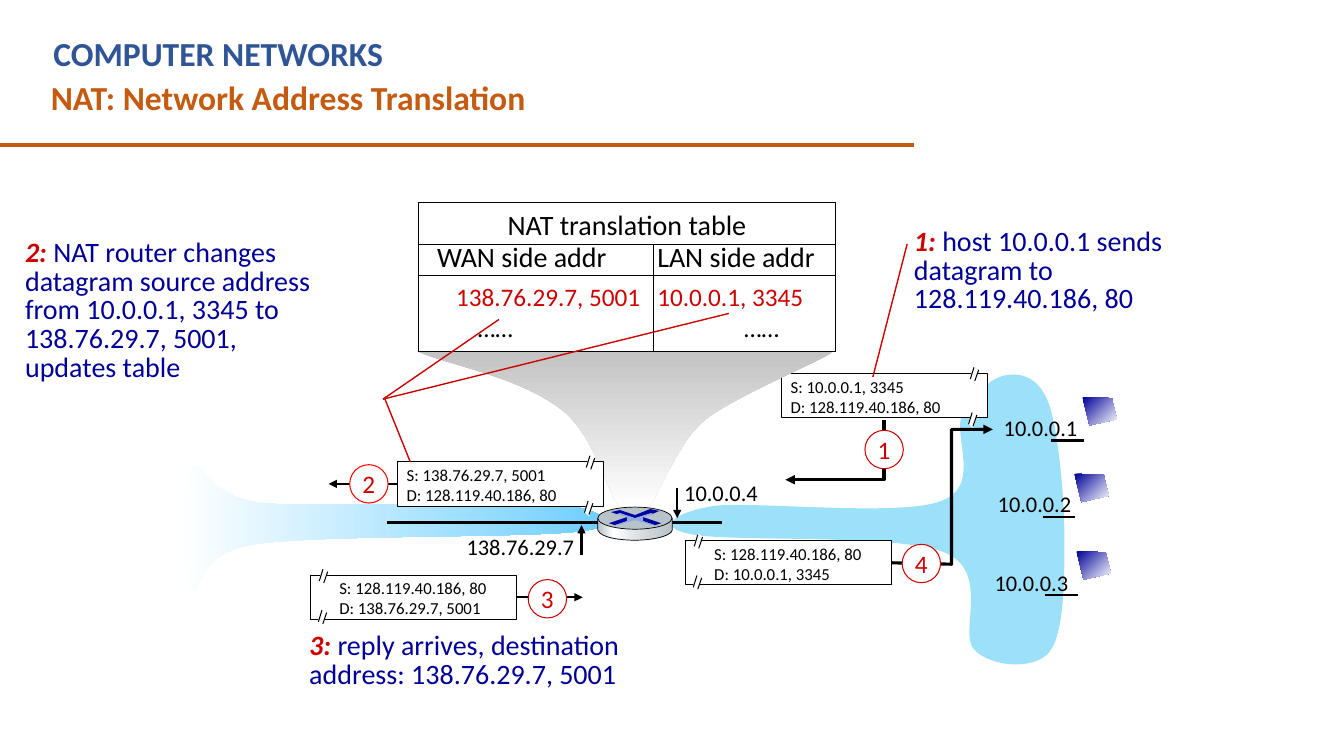
from dataclasses import dataclass

from lxml.etree import SubElement
from pptx import Presentation
from pptx.dml.color import RGBColor
from pptx.enum.shapes import MSO_CONNECTOR, MSO_SHAPE
from pptx.enum.text import MSO_ANCHOR, PP_ALIGN
from pptx.oxml.ns import qn
from pptx.util import Pt

COLORS = {
    "black": "000000", "white": "FFFFFF", "red": "CC0000", "bright": "FF0000",
    "navy": "000099", "heading": "2F5597", "title": "C55A11", "wan": "66CCFF",
    "lan": "9CE0FA", "grey": "BFBFBF", "steel": "B8C2C9", "pale": "D6DCE0",
    "wing": "0000A3", "wing_left": "0000A8", "cross": "8FAADC",
}
LABEL = {"size": Pt(16)}
LEAD = {"size": Pt(20), "color": "red", "bold": True, "italic": True}
NOTE = {"size": Pt(20), "color": "navy"}
PACKET_W, PACKET_H, BADGE = 147.4, 31.7, 27.4


@dataclass
class Packet:
    number: str
    x: float
    y: float
    lines: tuple[str, str]
    breaks_right: bool
    badge: tuple[float, float]
    route: list[tuple]          # a single point means a straight arrow from the packet's side
    ring: str = "red"


@dataclass
class Host:
    address: str
    label: tuple[float, float]
    screen: tuple[float, float]


@dataclass
class Callout:
    box: tuple[float, float, float, float]
    lead: str
    lines: list[str]
    pointers: list[tuple]


PACKETS = {p.number: p for p in (
    Packet("1", 558, 266.7, ("S: 10.0.0.1, 3345", "D: 128.119.40.186, 80"), True,
           (617.8, 307.4), [(631.4, 300.2), (631.4, 342.7), (561, 342.7)]),
    Packet("2", 283.7, 329.8, ("S: 138.76.29.7, 5001", "D: 128.119.40.186, 80"), True,
           (249.8, 331.9), [(234.7, 345.65)], "bright"),
    Packet("3", 221.8, 410.8, ("S: 128.119.40.186, 80", "D: 138.76.29.7, 5001"), False,
           (377.3, 414), [(416.2, 426.65)]),
    Packet("4", 489.6, 386.1, ("S: 128.119.40.186, 80", "D: 10.0.0.1, 3345"), False,
           (644.4, 388.8), [(636.5, 402), (679.7, 403), (679.7, 306.7), (709.2, 306.7)]),
)}
HOSTS = [Host("10.0.0.1", (709.9, 292.3), (773.3, 283.7)),
         Host("10.0.0.2", (705.6, 346.3), (767.5, 338.4)),
         Host("10.0.0.3", (703.4, 403.2), (769, 393.8))]
CALLOUTS = {
    "1": Callout((645.8, 159.8, 241.9, 69.1), "1: ",
                 ["host 10.0.0.1 sends datagram to 128.119.40.186, 80"],
                 [(648, 174.2, 623.5, 269.3)]),
    "2": Callout((10.8, 167.8, 248.4, 110.2), "2: ",
                 ["NAT router changes datagram source address from 10.0.0.1, 3345 to "
                  "138.76.29.7, 5001,", "updates table"],
                 [(275, 285.1, 293, 329.8), (273.6, 285.1, 356.4, 228.2),
                  (273.6, 285.1, 520.6, 223.9)]),
    "3": Callout((213.8, 448.6, 280.1, 49), "3: ",
                 ["reply arrives, destination address: 138.76.29.7, 5001"], []),
}
# Outlines: pairs are corners, sextuples are cubic curves.
WAN_CLOUD = [(396.7, 359.3), (358.6, 356.4, 231.1, 363.6, 187.9, 359.3),
             (144.7, 355, 145.4, 324, 136.8, 334.1), (128.2, 344.9, 129.6, 412.6, 136.8, 421.2),
             (144.7, 430.6, 135.4, 396, 181.4, 388.8), (227.5, 381.6, 378.7, 384.5, 414.7, 379.4),
             (450.7, 375.1, 427.7, 363.6, 396.7, 359.3)]
LAN_CLOUD = [(509.8, 361.4), (539.3, 357.8, 643, 369.4, 672.5, 357.8),
             (702, 347, 679.7, 310.3, 687.6, 295.2), (695.5, 280.1, 709.9, 268.6, 720, 267.8),
             (730.1, 266.4, 743, 270, 749.5, 289.4), (756, 308.9, 760.3, 355, 760.3, 384.5),
             (760.3, 413.3, 760.3, 452.2, 749.5, 465.8), (738.7, 478.8, 708.5, 476.6, 696.2, 464.4),
             (684, 452.9, 708.5, 408.2, 674.6, 394.6), (641.5, 380.9, 521.3, 387.4, 493.9, 381.6),
             (466.6, 376.6, 482.4, 365.8, 509.8, 361.4)]
FUNNEL = [(298.8, 251.3), (298.8, 251.3, 559.9, 243.4, 593.3, 251.3),
          (603.4, 250.6, 525.6, 282.2, 504, 299.5), (482.4, 316.8, 471.6, 354.2, 462.2, 363.6),
          (443.5, 363.6), (433.4, 352.1, 425.5, 311.8, 401.8, 293),
          (371.5, 269.3, 322.6, 261.4, 298.8, 251.3)]
ROUTER_BODY = [(480.2, 370.1), (480.2, 378.7), (478.8, 383.8, 463, 385.9, 453.6, 385.9),
               (445, 385.9, 429.1, 384.5, 427, 378.7), (427, 370.1),
               (429.8, 375.1, 445, 377.3, 453.6, 377.3), (462.2, 377.3, 477.4, 375.8, 480.2, 370.1)]
ROUTER_MARKS = {
    "wing": [[(464.4, 363.6), (470.9, 365), (465.8, 367.2), (465.1, 366.5), (453.6, 370.1),
              (442.8, 366.5), (440.6, 367.2), (436.3, 365.8), (442.8, 364.3), (453.6, 367.9)],
             [(459.4, 369.4), (472.3, 373.7), (468, 375.1), (459.4, 372.2)]],
    "wing_left": [[(447.8, 369.4), (447.8, 372.2), (439.2, 375.1), (434.9, 373.7)]],
    "cross": [[(440.6, 367.2), (442.8, 366.5), (453.6, 370.1), (465.1, 366.5), (466.6, 367.2),
               (459.4, 369.4), (459.4, 372.2), (467.3, 375.1), (465.1, 375.1), (453.6, 371.5),
               (441.4, 375.1), (439.2, 375.1), (447.8, 372.2), (447.8, 369.4)]],
}

prs = Presentation()
prs.slide_width, prs.slide_height = Pt(960), Pt(540)
slide = prs.slides.add_slide(prs.slide_layouts[5])
shapes = slide.shapes


def rgb(name: str) -> RGBColor:
    return RGBColor.from_string(COLORS[name])


def add_run(p, text: str, fmt: dict) -> None:
    r = p.add_run()
    r.text = text
    for key, value in ({"name": "Calibri", "bold": False, "color": "black"} | fmt).items():
        if key == "color":
            r.font.color.rgb = rgb(value)
        else:
            setattr(r.font, key, value)


def fill_text(tf, paragraphs: list, wrap: bool = True, align=PP_ALIGN.LEFT, spacing=None) -> None:
    """Each paragraph is a list of (text, format) runs."""
    tf.word_wrap = wrap
    for i, runs in enumerate(paragraphs):
        p = tf.add_paragraph() if i else tf.paragraphs[0]
        p.alignment, p.line_spacing = align, spacing
        for text, fmt in runs:
            add_run(p, text, fmt)


def text_box(x: float, y: float, w: float, h: float, paragraphs: list, **layout) -> None:
    fill_text(shapes.add_textbox(Pt(x), Pt(y), Pt(w), Pt(h)).text_frame, paragraphs, **layout)


def add_tail(sp) -> None:
    SubElement(sp._element.spPr.find(qn("a:ln")), qn("a:tailEnd"), type="triangle")


def line(x1: float, y1: float, x2: float, y2: float, color="black", width=0.75, arrow=False):
    c = shapes.add_connector(MSO_CONNECTOR.STRAIGHT, Pt(x1), Pt(y1), Pt(x2), Pt(y2))
    c.line.color.rgb, c.line.width = rgb(color), Pt(width)
    SubElement(c._element.spPr, qn("a:effectLst"))
    if arrow:
        add_tail(c)
    return c


def style(sp, fill=None, stroke=None, width=0.75, stops=None, angle=0):
    """Fill plainly, or with (percent, color) stops at a counter-clockwise angle."""
    sp.shadow.inherit = False
    if stops:
        sp.fill.gradient()
        sp.fill.gradient_angle = angle
        gs_list = sp._element.spPr.find(qn("a:gradFill")).find(qn("a:gsLst"))
        gs_list.clear()
        for percent, color in stops:
            gs = SubElement(gs_list, qn("a:gs"), pos=str(percent * 1000))
            SubElement(gs, qn("a:srgbClr"), val=COLORS[color])
    elif fill:
        sp.fill.solid()
        sp.fill.fore_color.rgb = rgb(fill)
    else:
        sp.fill.background()
    if stroke:
        sp.line.color.rgb, sp.line.width = rgb(stroke), Pt(width)
    else:
        sp.line.fill.background()
    return sp


def preset(kind, x: float, y: float, w: float, h: float, fill: str, stroke: str, width=0.75):
    return style(shapes.add_shape(kind, Pt(x), Pt(y), Pt(w), Pt(h)), fill, stroke, width)


def outline(steps: list[tuple], close: bool = True, **look):
    """Draw all points as corners, then join each curve's three into one cubic segment."""
    emu = [(Pt(s[i]), Pt(s[i + 1])) for s in steps for i in range(0, len(s), 2)]
    builder = shapes.build_freeform(*emu[0])
    builder.add_line_segments(emu[1:], close=close)
    sp = builder.convert_to_shape()
    segments = iter(list(sp._element.iter(qn("a:lnTo"))))
    for step in steps[1:]:
        first = next(segments)
        if len(step) == 6:
            cubic = first.getparent().makeelement(qn("a:cubicBezTo"))
            first.addprevious(cubic)
            for segment in (first, next(segments), next(segments)):
                cubic.append(segment[0])
                segment.getparent().remove(segment)
    return style(sp, **look)


def break_mark(x: float, y: float) -> None:
    outline([(x + 2.9, y), (x, y + 8.6), (x + 3.6, y + 12.2), (x + 6.5, y + 2.9)], fill="white")
    line(x + 2.9, y + 1, x + 0.3, y + 9.4)
    line(x + 6.3, y + 2.7, x + 3.5, y + 10.8)


def draw_packet(k: Packet) -> None:
    box = preset(MSO_SHAPE.RECTANGLE, k.x, k.y, PACKET_W, PACKET_H, "white", "black")
    text_box(k.x + (-0.3 if k.breaks_right else 13.5), k.y - 1.5, 139, 36,
             [[(text, {"size": Pt(12)})] for text in k.lines])
    for dx, dy in ((134.8, -5.3), (133.5, 27)) if k.breaks_right else ((6, -5.2), (5.3, 24)):
        break_mark(k.x + dx, k.y + dy)
    if len(k.route) == 1:
        arrow = line(k.x, k.y, *k.route[0], width=1.5, arrow=True)
        arrow.begin_connect(box, 1 if k.route[0][0] < k.x else 3)
    else:
        add_tail(outline(k.route, close=False, stroke="black", width=2.25))
    badge = preset(MSO_SHAPE.OVAL, *k.badge, BADGE, BADGE, "white", k.ring)
    tf = badge.text_frame
    tf.margin_left = tf.margin_right = tf.margin_top = tf.margin_bottom = 0
    tf.vertical_anchor = MSO_ANCHOR.MIDDLE
    fill_text(tf, [[(k.number, {"size": Pt(18), "color": "red"})]], False, PP_ALIGN.CENTER)


def draw_callout(c: Callout) -> None:
    runs = [[(text, NOTE)] for text in c.lines]
    runs[0].insert(0, (c.lead, LEAD))
    text_box(*c.box, runs, spacing=0.85)
    for pointer in c.pointers:
        line(*pointer, color="red", width=1)


def draw_host(h: Host) -> None:
    text_box(*h.label, 67.7, 26.6, [[(h.address, LABEL)]], wrap=False)
    x, y = h.screen
    outline([(x, y), (x + 20.9, y + 0.7), (x + 24.5, y + 15.8), (x + 5, y + 20.2)],
            stops=[(0, "navy"), (100, "white")], angle=315)
    line(x - 22.3, y + 31, x + 0.7, y + 31, width=1.5)


def draw_nat_table() -> None:
    """Each text carries its left indent inside the cell."""
    rows = [[[("NAT translation table", 0)], []],
            [[("WAN side addr", 13.4)], [("LAN side addr", 2.9)]],
            [[("138.76.29.7, 5001", 27), ("……", 42.6)], [("10.0.0.1, 3345", 2.9), ("……", 65)]]]
    table = shapes.add_table(3, 2, Pt(298.8), Pt(144.7), Pt(298.1), Pt(106.6)).table
    table.first_row = table.horz_banding = False
    for column, width in zip(table.columns, (167.8, 130.3)):
        column.width = Pt(width)
    for row, height in zip(table.rows, (30.2, 21.6, 54.8)):
        row.height = Pt(height)
    table.cell(0, 0).merge(table.cell(0, 1))
    for i, row in enumerate(rows):
        for j, items in enumerate(row):
            cell = table.cell(i, j)
            tc_pr = cell._tc.get_or_add_tcPr()
            for side in ("lnL", "lnR", "lnT", "lnB"):
                ln = SubElement(tc_pr, qn(f"a:{side}"), w=str(Pt(0.75)))
                SubElement(SubElement(ln, qn("a:solidFill")), qn("a:srgbClr"), val=COLORS["black"])
            cell.fill.solid()
            cell.fill.fore_color.rgb = rgb("white")
            cell.margin_left = cell.margin_right = cell.margin_bottom = 0
            cell.margin_top = Pt((4.3, 0.6, 5.4)[i])
            fmts = [{"size": Pt(18), "color": "red"}, {"size": Pt(18)}] if i == 2 else [{"size": Pt(20)}]
            fill_text(cell.text_frame, [[(text, fmt)] for (text, _), fmt in zip(items, fmts)],
                      align=PP_ALIGN.LEFT if i else PP_ALIGN.CENTER, spacing=Pt(21) if i == 1 else None)
            for p, (_, indent) in zip(cell.text_frame.paragraphs, items):
                p._p.get_or_add_pPr().set("marL", str(Pt(indent)))


def draw_router() -> None:
    line(276.5, 373, 515.5, 373, width=2)
    outline(ROUTER_BODY, stroke="black", width=0.5,
            stops=[(0, "steel"), (21, "white"), (60, "pale"), (100, "steel")])
    preset(MSO_SHAPE.OVAL, 427, 362.2, 53, 15.8, "steel", "black", 0.5)
    for color, marks in ROUTER_MARKS.items():
        for mark in marks:
            outline(mark, fill=color)


def main() -> None:
    line(-0.7, 103.7, 653, 103.7, "title", 3)
    text_box(31, 20.2, 590.4, 36,
             [[("COMPUTER NETWORKS", {"size": Pt(24), "color": "heading", "bold": True})]])
    title = shapes.title
    title.left, title.top, title.width, title.height = Pt(29.1), Pt(51.1), Pt(630), Pt(36)
    title.text_frame.vertical_anchor = MSO_ANCHOR.TOP
    fill_text(title.text_frame, [[("NAT: Network Address Translation",
                                  {"size": Pt(24), "color": "title", "bold": True})]])
    outline(WAN_CLOUD, stops=[(0, "white"), (100, "wan")])
    outline(LAN_CLOUD, fill="lan")
    draw_packet(PACKETS["1"])
    text_box(481.7, 338.4, 67.7, 26.6, [[("10.0.0.4", LABEL)]], wrap=False)
    text_box(326.2, 377.3, 92.2, 26.6, [[("138.76.29.7", LABEL)]], wrap=False)
    draw_callout(CALLOUTS["1"])
    outline(FUNNEL, stops=[(0, "grey"), (100, "white")], angle=270)
    draw_nat_table()
    for number in ("4", "2"):
        draw_packet(PACKETS[number])
    draw_callout(CALLOUTS["2"])
    draw_packet(PACKETS["3"])
    draw_callout(CALLOUTS["3"])
    for host in HOSTS:
        draw_host(host)
    draw_router()
    line(415.4, 396.7, 415.4, 375.1, width=1.5, arrow=True)
    line(483.8, 348.5, 483.8, 370.1, width=1.5, arrow=True)
    prs.save("out.pptx")


if __name__ == "__main__":
    main()
